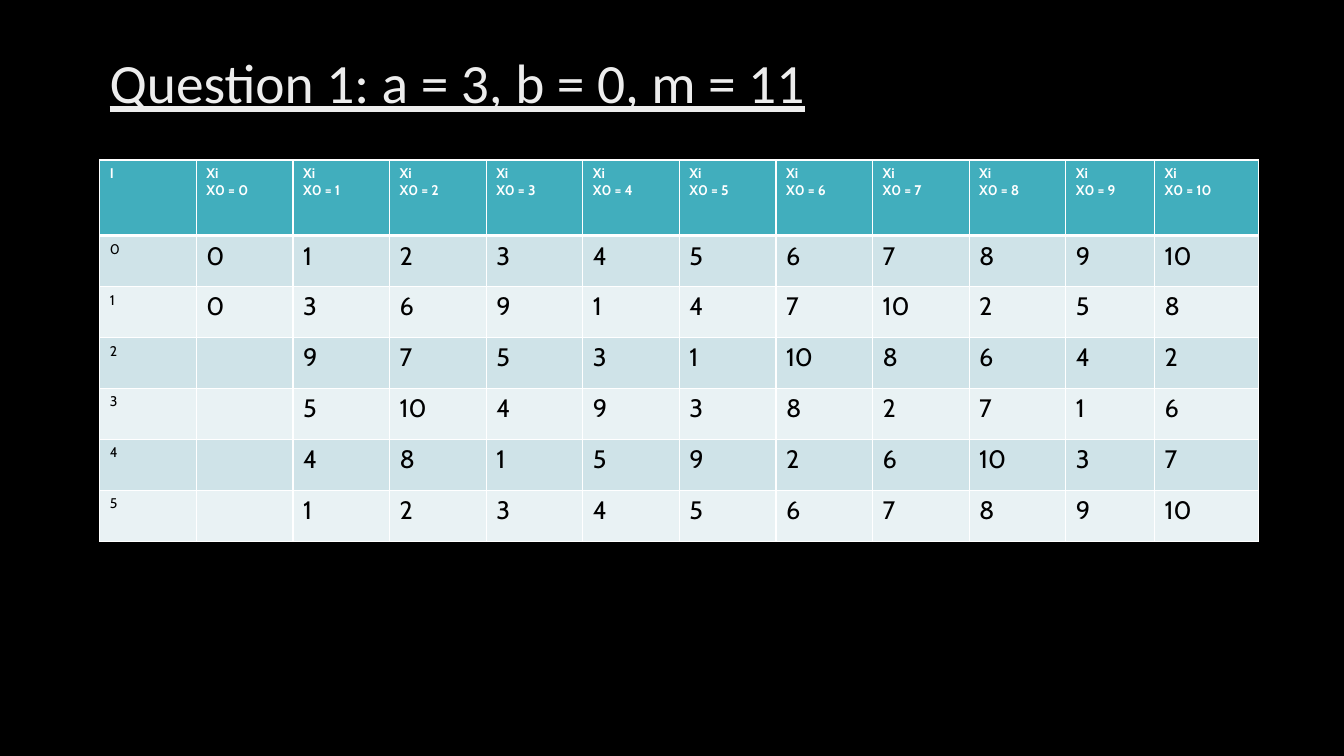
from lxml import etree
from pptx import Presentation
from pptx.dml.color import RGBColor
from pptx.enum.text import MSO_ANCHOR
from pptx.oxml import parse_xml
from pptx.util import Pt

MIDDLE = MSO_ANCHOR.MIDDLE
NS = "http://schemas.openxmlformats.org/drawingml/2006/main"

# Generator X(i+1) = (a * Xi + b) mod m
A, B, M = 3, 0, 11
STEPS = 6


def rgb(value):
    return RGBColor.from_string(value)


class SlideBuilder:
    title_font, table_font = "Calibri", "Cabin"
    white, black = "FFFFFF", "000000"
    header_fill, bands = "41AEBD", ("CFE3E8", "E9F2F4")
    title_stops = ((0, "BFBFBF"), (28, "EDEDED"), (100, "FFFFFF"))

    def __init__(self, prs):
        self.s = prs.slides.add_slide(prs.slide_layouts[6])
        fill = self.s.background.fill
        fill.solid()
        fill.fore_color.rgb = rgb(self.black)

    def run(self, p, text, font, size, color=None, bold=False):
        r = p.add_run()
        r.text = text
        r.font.name, r.font.size, r.font.bold = font, Pt(size), bold
        if color:
            r.font.color.rgb = rgb(color)
        return r

    def title(self, text, x, y, w, h):
        sp = self.s.shapes.add_textbox(Pt(x), Pt(y), Pt(w), Pt(h))
        tf = sp.text_frame
        tf.word_wrap = True
        tf.vertical_anchor = MIDDLE
        p = tf.paragraphs[0]
        p.line_spacing = 0.9
        r = self.run(p, text, self.title_font, 39.6)
        r.font.underline = True
        # Gradient text fill
        stops = "".join(
            f'<a:gs pos="{pos * 1000}"><a:srgbClr val="{color}"/></a:gs>'
            for pos, color in self.title_stops)
        r.font._element.insert(0, parse_xml(
            f'<a:gradFill xmlns:a="{NS}"><a:gsLst>{stops}</a:gsLst>'
            '<a:lin ang="4800000" scaled="0"/></a:gradFill>'))

    def borders(self, cell, top, bottom):
        tc_pr = cell._tc.get_or_add_tcPr()
        for side, width in zip("LRTB", (1, 1, top, bottom)):
            ln = etree.SubElement(tc_pr, f"{{{NS}}}ln{side}", w=str(Pt(width)))
            fill = etree.SubElement(ln, f"{{{NS}}}solidFill")
            etree.SubElement(fill, f"{{{NS}}}srgbClr", val=self.white)

    def cell(self, cell, row, col, text):
        header = row == 0
        self.borders(cell, 3 if row == 1 else 1, 3 if header else 1)
        cell.fill.solid()
        cell.fill.fore_color.rgb = rgb(
            self.header_fill if header else self.bands[(row - 1) % 2])
        if not text:
            return
        size = 10 if header or col == 0 else 18
        tf = cell.text_frame
        for i, line in enumerate(text.split("\n")):
            p = tf.add_paragraph() if i else tf.paragraphs[0]
            self.run(p, line, self.table_font, size,
                     self.white if header else self.black, header)

    def table(self, rows, x, y, widths, heights):
        frame = self.s.shapes.add_table(
            len(rows), len(widths), Pt(x), Pt(y),
            Pt(sum(widths)), Pt(sum(heights)))
        table = frame.table
        table.horz_banding = False
        for column, width in zip(table.columns, widths):
            column.width = Pt(width)
        for i, (values, height) in enumerate(zip(rows, heights)):
            table.rows[i].height = Pt(height)
            for j, text in enumerate(values):
                self.cell(table.cell(i, j), i, j, text)


def sequence_rows():
    rows = [["I"] + [f"Xi\nX0 = {seed}" for seed in range(M)]]
    xs = list(range(M))
    for i in range(STEPS):
        # The zero seed stays at 0, so it is listed only twice
        rows.append([str(i)] + ["" if seed == 0 and i > 1 else str(x)
                                for seed, x in enumerate(xs)])
        xs = [(A * x + B) % M for x in xs]
    return rows


def main():
    prs = Presentation()
    prs.slide_width, prs.slide_height = Pt(960), Pt(540)
    slide = SlideBuilder(prs)

    # Heading
    slide.title(f"Question 1: a = {A}, b = {B}, m = {M}", 71.3, 35.3, 828, 51.8)

    # Sequences for every seed
    slide.table(sequence_rows(), 71.3, 114.3,
                [69] * 10 + [63.5, 74.4], [54] + [36.4] * STEPS)

    prs.save("out.pptx")


if __name__ == "__main__":
    main()
